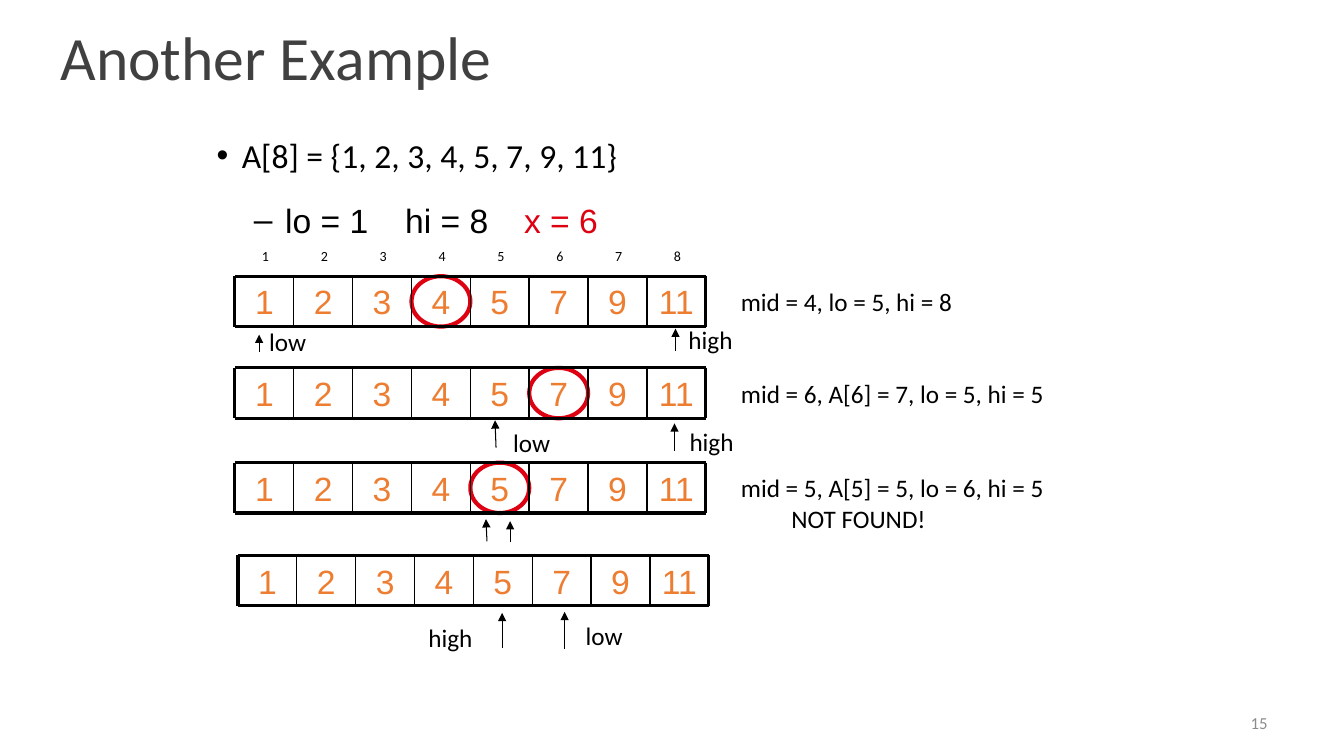
from lxml.etree import SubElement
from pptx import Presentation
from pptx.dml.color import RGBColor
from pptx.enum.shapes import MSO_CONNECTOR, MSO_SHAPE
from pptx.enum.text import MSO_ANCHOR, PP_ALIGN
from pptx.oxml.ns import qn
from pptx.util import Inches, Pt

BLACK = RGBColor(0x00, 0x00, 0x00)
TITLE_GRAY = RGBColor(0x40, 0x40, 0x40)
NUMBER_GRAY = RGBColor(0x8C, 0x8C, 0x8C)
RED = RGBColor(0xDD, 0x01, 0x11)
ORANGE = RGBColor(0xED, 0x7D, 0x31)

VALUES = [1, 2, 3, 4, 5, 7, 9, 11]
ARRAY_WIDTH = 4.67
CELL_WIDTH = ARRAY_WIDTH / len(VALUES)
CELL_HEIGHT = 0.5


def add_text(text, left, top, width, height, size=18, font="Calibri", color=BLACK,
             align=PP_ALIGN.LEFT, anchor=MSO_ANCHOR.TOP, wrap=True):
    box = slide.shapes.add_textbox(Inches(left), Inches(top), Inches(width), Inches(height))
    frame = box.text_frame
    frame.word_wrap = wrap
    frame.vertical_anchor = anchor
    frame.text = text
    for para in frame.paragraphs:
        para.alignment = align
        for span in para.runs:
            span.font.size = Pt(size)
            span.font.name = font
            span.font.color.rgb = color
    return frame


def add_line(x1, y1, x2, y2, weight, arrow=False):
    line = slide.shapes.add_connector(
        MSO_CONNECTOR.STRAIGHT, Inches(x1), Inches(y1), Inches(x2), Inches(y2))
    line.line.color.rgb = BLACK
    line.line.width = Pt(weight)
    if arrow:
        SubElement(line.line._get_or_add_ln(), qn("a:tailEnd"), type="triangle")
    SubElement(line._element.spPr, qn("a:effectLst"))


deck = Presentation()
deck.slide_width = Inches(13.33)
deck.slide_height = Inches(7.5)
slide = deck.slides.add_slide(deck.slide_layouts[5])

title = slide.shapes.title
title.left, title.top = Inches(0.5), Inches(0.11)
title.width, title.height = Inches(12), Inches(0.99)
title.text_frame.text = "Another Example"
title.text_frame.vertical_anchor = MSO_ANCHOR.MIDDLE
heading = title.text_frame.paragraphs[0]
heading.alignment = PP_ALIGN.LEFT
heading.line_spacing = 0.9
heading.runs[0].font.size = Pt(44)
heading.runs[0].font.name = "Calibri"
heading.runs[0].font.color.rgb = TITLE_GRAY

# Bulleted statement of the array and the search
array_para = add_text("A[8] = {1, 2, 3, 4, 5, 7, 9, 11}", 2.05, 1.33, 9.03, 0.5, 24).paragraphs[0]
array_para.line_spacing = 0.9
search_para = add_text("lo = 1\thi = 8\t", 1.92, 1.93, 9.03, 0.58, 24, "Arial").paragraphs[0]
target = search_para.add_run()
target.text = "x = 6"
target.font.size = Pt(24)
target.font.name = "Arial"
target.font.color.rgb = RED
for para, bullet, margin, hanging in [(array_para, "•", 0.25, 0.25), (search_para, "–", 0.81, 0.31)]:
    props = para._p.get_or_add_pPr()
    props.set("marL", str(Inches(margin)))
    props.set("indent", str(-Inches(hanging)))
    SubElement(props, qn("a:buFont"), typeface="Arial")
    SubElement(props, qn("a:buChar"), char=bullet)
tabs = SubElement(search_para._p.pPr, qn("a:tabLst"))
for stop in (2, 3.18):
    SubElement(tabs, qn("a:tab"), pos=str(Inches(stop)), algn="l")

# Array at each step: left, top, index of the circled middle cell
for left, top, middle in [(2.33, 2.74, 3), (2.33, 3.65, 5), (2.33, 4.59, 4), (2.36, 5.51, None)]:
    bottom = top + CELL_HEIGHT
    if middle is not None:
        circle = slide.shapes.add_shape(
            MSO_SHAPE.OVAL, Inches(left + middle * CELL_WIDTH), Inches(top),
            Inches(CELL_WIDTH), Inches(CELL_HEIGHT))
        circle.shadow.inherit = False
        circle.fill.background()
        circle.line.color.rgb = RED
        circle.line.width = Pt(3)
    for column, value in enumerate(VALUES):
        add_text(str(value), left + column * CELL_WIDTH, top, CELL_WIDTH, CELL_HEIGHT, 24,
                 "Arial", ORANGE, PP_ALIGN.CENTER, MSO_ANCHOR.MIDDLE)
    for y in (top, bottom):
        add_line(left, y, left + ARRAY_WIDTH, y, 2.25)
    for column in range(len(VALUES) + 1):
        x = left + column * CELL_WIDTH
        add_line(x, top, x, bottom, 2.25 if column in (0, len(VALUES)) else 1)

for column in range(len(VALUES)):
    add_text(str(column + 1), 2.5 + column * CELL_WIDTH, 2.41, 0.25, 0.27, 10)

for note, top, width, height in [
    ("mid = 4, lo = 5, hi = 8", 2.79, 3, 0.4),
    ("mid = 6, A[6] = 7, lo = 5, hi = 5", 3.7, 3.75, 0.4),
    ("mid = 5, A[5] = 5, lo = 6, hi = 5\n\tNOT FOUND!", 4.64, 3.75, 0.7),
]:
    add_text(note, 7.25, top, width, height)

for x1, y1, x2, y2 in [
    (2.57, 3.49, 2.57, 3.32), (6.7, 3.48, 6.7, 3.26),
    (4.92, 4.44, 4.91, 4.17), (6.69, 4.47, 6.69, 4.2),
    (4.83, 5.37, 4.82, 5.15), (5.06, 5.38, 5.06, 5.17),
    (5.6, 6.44, 5.6, 6.07), (4.98, 6.43, 4.98, 6.08),
]:
    add_line(x1, y1, x2, y2, 0.75, arrow=True)

for label, left, top, width in [
    ("low", 2.57, 3.19, 0.58), ("high", 6.73, 3.17, 0.65),
    ("low", 4.99, 4.19, 0.58), ("high", 6.74, 4.18, 0.65),
    ("low", 5.71, 6.11, 0.58), ("high", 4.15, 6.12, 0.65),
]:
    add_text(label, left, top, width, 0.4, wrap=False)

add_text("15", 9.56, 7, 3.11, 0.35, 12, color=NUMBER_GRAY,
         align=PP_ALIGN.RIGHT, anchor=MSO_ANCHOR.MIDDLE)

deck.save("out.pptx")
